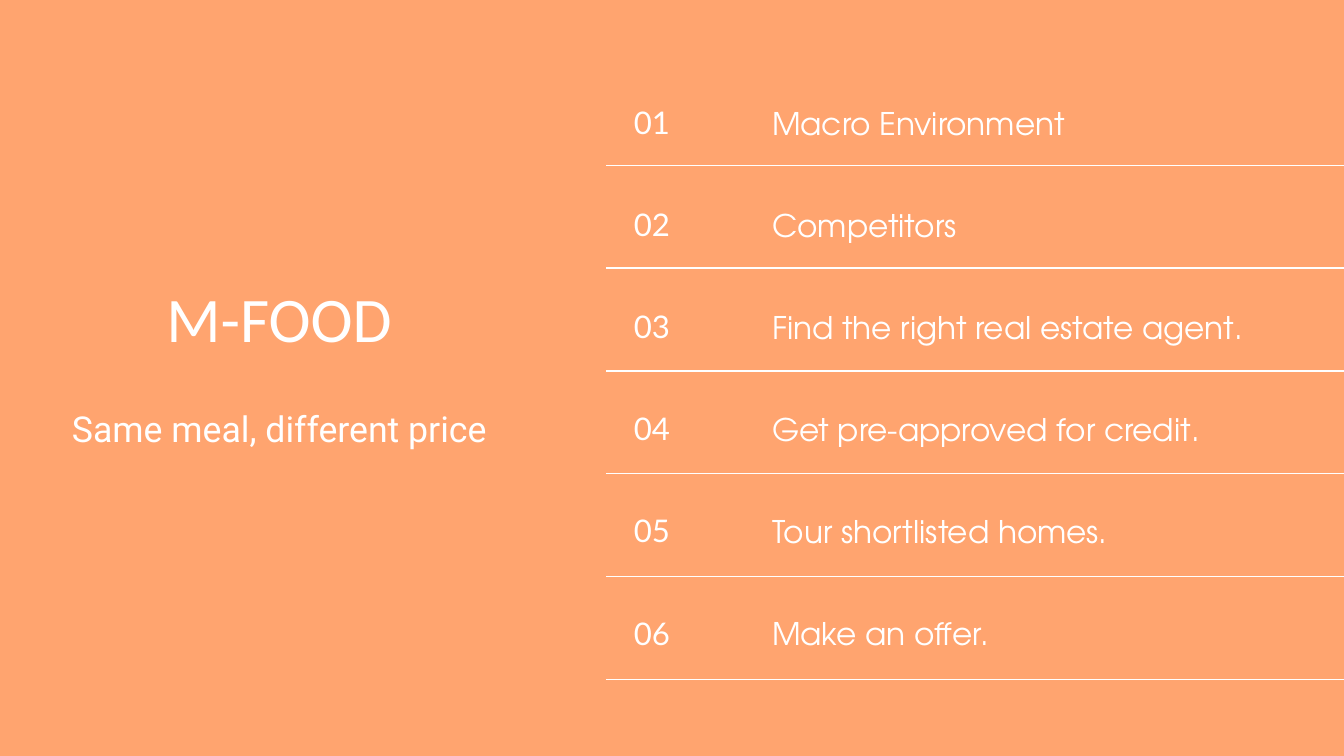
"""Builds the M-FOOD agenda slide with six numbered topics."""
from lxml import etree
from pptx import Presentation
from pptx.dml.color import RGBColor
from pptx.enum import shapes, text
from pptx.oxml.ns import qn
from pptx.util import Inches, Pt

ORANGE = RGBColor(0xFF, 0xA4, 0x6F)
WHITE = RGBColor(0xFF, 0xFF, 0xFF)

TOPICS = [
    "Macro Environment",
    "Competitors",
    "Find the right real estate agent.",
    "Get pre-approved for credit.",
    "Tour shortlisted homes.",
    "Make an offer.",
]
ROW_PITCH = 1.52
RULE_PITCH = 1.53


def add_text(slide, content, left, top, width, height, *, font, size, spacing,
             align=text.PP_ALIGN.LEFT):
    box = slide.shapes.add_textbox(
        Inches(left), Inches(top), Inches(width), Inches(height))
    frame = box.text_frame
    frame.margin_left = frame.margin_top = 0
    frame.margin_right = frame.margin_bottom = 0
    frame.word_wrap = True
    frame.auto_size = text.MSO_AUTO_SIZE.SHAPE_TO_FIT_TEXT
    paragraph = frame.paragraphs[0]
    paragraph.alignment = align
    paragraph.line_spacing = Pt(spacing)
    run = paragraph.add_run()
    run.text = content
    run.font.name = font
    run.font.size = Pt(size)
    run.font.color.rgb = WHITE


def add_rule(slide, top):
    rule = slide.shapes.add_connector(
        shapes.MSO_CONNECTOR.STRAIGHT,
        Inches(9.02), Inches(top), Inches(21.36), Inches(top))
    rule.line.color.rgb = WHITE
    rule.line.width = Pt(1.5)
    etree.SubElement(rule._element.spPr, qn("a:effectLst"))


def add_topic(slide, index, topic):
    offset = index * ROW_PITCH
    add_rule(slide, 2.46 + index * RULE_PITCH)
    add_text(slide, topic, 11.49, 1.41 + offset, 8.72, 0.67,
             font="TeX Gyre Adventor", size=33.4, spacing=50.1)
    add_text(slide, f"{index + 1:02d}", 8.99, 1.49 + offset, 1.42, 0.58,
             font="Lato", size=33.4, spacing=43.4,
             align=text.PP_ALIGN.CENTER)


def add_heading(slide):
    add_text(slide, "M-FOOD", -0.25, 4.15, 8.81, 1.14, font="Calibri",
             size=68, spacing=81.6, align=text.PP_ALIGN.CENTER)
    add_text(slide, "Same meal, different price", -0.25, 5.89, 8.81, 0.74,
             font="Roboto", size=38.2, spacing=57.4,
             align=text.PP_ALIGN.CENTER)


def main():
    presentation = Presentation()
    presentation.slide_width = Inches(20)
    presentation.slide_height = Inches(11.25)
    slide = presentation.slides.add_slide(presentation.slide_layouts[6])
    slide.background.fill.solid()
    slide.background.fill.fore_color.rgb = ORANGE
    for index, topic in enumerate(TOPICS):
        add_topic(slide, index, topic)
    add_heading(slide)
    presentation.save("out.pptx")


if __name__ == "__main__":
    main()
